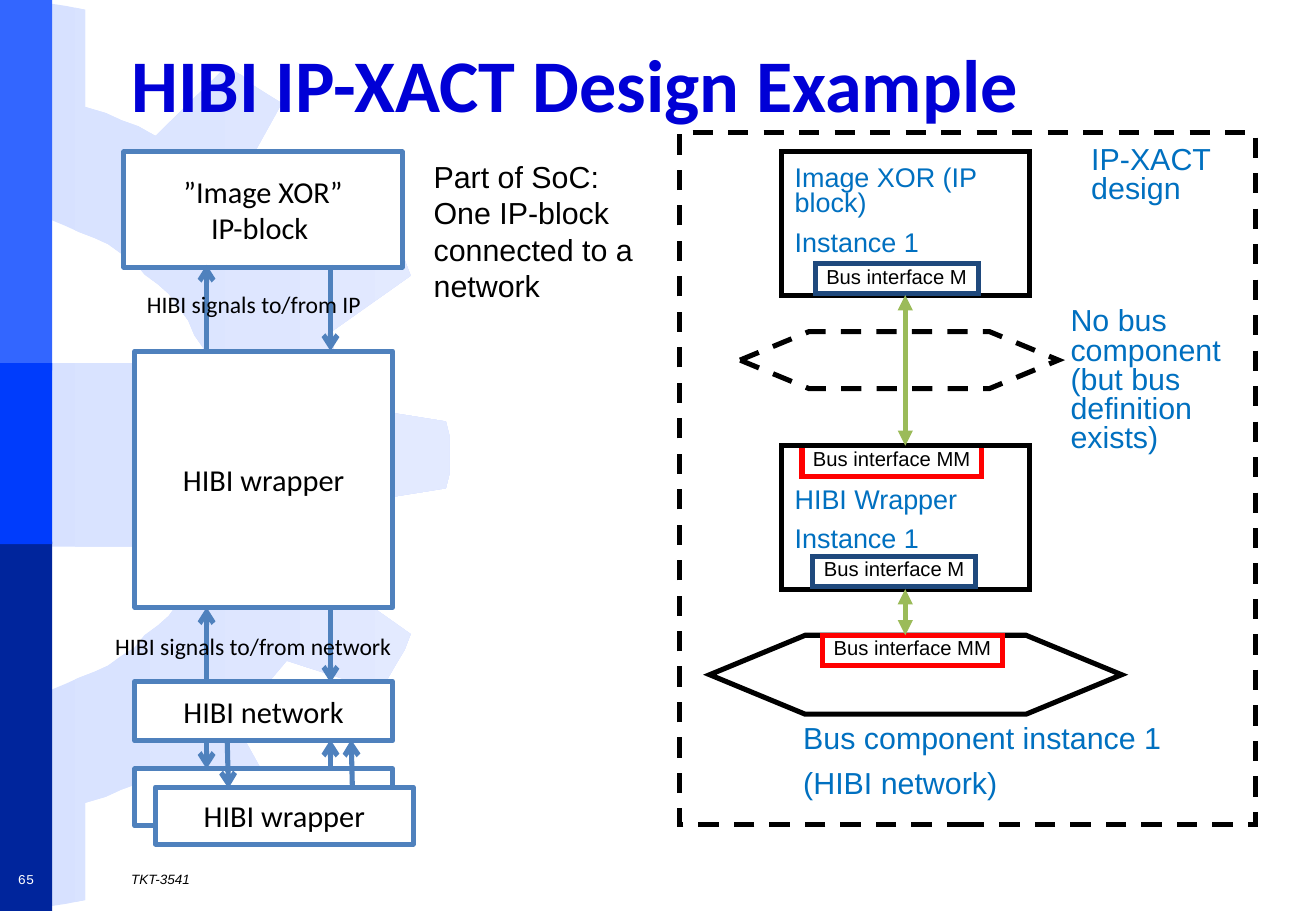
"""Build the HIBI IP-XACT design example slide."""
from dataclasses import dataclass
from typing import Optional

from lxml import etree
from pptx import Presentation
from pptx import util as u
from pptx.dml.color import RGBColor
from pptx.enum import dml, shapes, text
from pptx.oxml.ns import qn

PX = 9144
COLORS = {
    "black": "000000", "white": "FFFFFF", "title": "0000D6", "label": "0070C0",
    "steel": "4F81BD", "navy": "1F497D", "red": "FF0000", "green": "9BBB59",
    "band_top": "3366FF", "band_mid": "003CFC", "band_low": "00259C",
    "gear_left": "D7E1FF", "gear_right": "E3EAFF",
}
RECT = shapes.MSO_SHAPE.RECTANGLE
HEXAGON = shapes.MSO_SHAPE.LEFT_RIGHT_ARROW
GEAR_HEIGHT = 749
GEAR_TOP_HALF = [
    (0, 299), (173, 299), (167, 286), (160, 276), (155, 264), (147, 253),
    (139, 242), (130, 234), (119, 226), (111, 216), (100, 209), (89, 201),
    (78, 196), (65, 191), (54, 186), (42, 181), (28, 180), (14, 176), (14, 0),
    (29, 1), (42, 3), (55, 5), (70, 8), (70, 88), (87, 93), (100, 99),
    (114, 104), (128, 112), (186, 55), (199, 62), (208, 70), (219, 77),
    (232, 85), (192, 157), (206, 169), (215, 180), (225, 192), (236, 205),
    (314, 180), (320, 192), (327, 204), (333, 214), (338, 227), (273, 273),
    (275, 291), (281, 305), (283, 320), (286, 334), (367, 347), (370, 359),
]


@dataclass
class Style:
    size: int
    color: str = "black"
    font: str = "Arial"
    centered: bool = False
    middle: bool = False
    tight: bool = False
    wrap: bool = True
    grow: bool = True
    italic: bool = False


@dataclass
class Box:
    left: int
    top: int
    width: int
    height: int
    line: Optional[str] = None
    fill: Optional[str] = None
    words: str = ""
    style: Optional[Style] = None
    shape: shapes.MSO_SHAPE = RECT
    dashed: bool = False


@dataclass
class Label:
    left: int
    top: int
    width: int
    height: int
    words: str
    style: Style


@dataclass
class Arrow:
    x1: int
    y1: int
    x2: int
    y2: int


BLOCK = Style(18, font="Calibri", centered=True, middle=True, grow=False)
PORT = Style(12, tight=True, wrap=False)
INSTANCE = Style(16, "label", tight=True)
NOTE = Style(18, "label", tight=True)
NOTE_LINES = Style(18, "label", tight=True, wrap=False)
SIGNAL = Style(14, font="Calibri", wrap=False)
NUMBER = Style(8, "white", "Courier New", centered=True, middle=True, grow=False)
FOOTER = Style(8, middle=True, grow=False, italic=True)

BACKDROP = [
    Box(0, 0, 43, 305, fill="band_top"),
    Box(0, 446, 43, 304, fill="band_low"),
    Box(0, 299, 43, 149, fill="band_mid"),
    Box(559, 109, 474, 570, "black", "white", dashed=True),
]
IMAGE_XOR = Box(643, 125, 204, 118, "black")
WRAPPER = Box(643, 367, 204, 118, "black")
BOXES = [
    Box(584, 523, 339, 65, "black", shape=HEXAGON),
    Box(660, 367, 148, 25, "red", words="Bus interface MM", style=PORT),
    IMAGE_XOR,
    Box(671, 217, 134, 25, "navy", words="Bus interface M", style=PORT),
    Box(677, 523, 148, 25, "red", words="Bus interface MM", style=PORT),
    WRAPPER,
    Box(609, 273, 262, 47, "black", shape=HEXAGON, dashed=True),
    Box(669, 458, 134, 25, "navy", words="Bus interface M", style=PORT),
    Box(111, 289, 212, 211, "steel", "white", "HIBI wrapper", BLOCK),
    Box(102, 125, 229, 95, "steel", "white", "”Image XOR”\nIP-block ", BLOCK),
    Box(111, 561, 212, 49, "steel", "white", "HIBI network", BLOCK),
    Box(111, 633, 212, 47, "steel", "white"),
    Box(128, 648, 212, 47, "steel", "white", "HIBI wrapper", BLOCK),
]
SIGNALS = [
    Arrow(272, 500, 272, 562), Arrow(170, 562, 170, 500),
    Arrow(272, 218, 272, 289), Arrow(170, 289, 170, 218),
    Arrow(272, 633, 272, 609), Arrow(170, 609, 170, 633),
    Arrow(187, 609, 188, 649), Arrow(290, 649, 289, 609),
]
LABELS = [
    Label(652, 594, 315, 72, "Bus component instance 1\n(HIBI network)", NOTE_LINES),
    Label(645, 133, 197, 87, "Image XOR (IP block)\nInstance 1", INSTANCE),
    Label(645, 398, 197, 65, "HIBI Wrapper\nInstance 1", INSTANCE),
    Label(872, 250, 186, 130, "No bus component (but bus definition exists)", NOTE),
    Label(889, 117, 135, 59, "IP-XACT design", NOTE),
    Label(85, 515, 249, 34, "HIBI signals to/from network", SIGNAL),
    Label(111, 234, 198, 34, "HIBI signals to/from IP", SIGNAL),
    Label(347, 125, 195, 131,
          "Part of SoC:\nOne IP-block connected to a network", Style(18)),
    Label(0, 711, 43, 26, "65", NUMBER),
    Label(98, 711, 939, 26, "TKT-3541", FOOTER),
]


def rgb(name: str) -> RGBColor:
    return RGBColor.from_string(COLORS[name])


def write(sp, words: str, style: Style) -> None:
    tf = sp.text_frame
    tf.text = words
    tf.word_wrap = style.wrap
    fit = text.MSO_AUTO_SIZE
    tf.auto_size = fit.SHAPE_TO_FIT_TEXT if style.grow else fit.NONE
    tf.vertical_anchor = text.MSO_ANCHOR.MIDDLE if style.middle else text.MSO_ANCHOR.TOP
    tf.margin_left = tf.margin_right = (9 if style.tight else 10) * PX
    tf.margin_top = tf.margin_bottom = (4 if style.tight else 5) * PX
    for i, p in enumerate(tf.paragraphs):
        p.alignment = text.PP_ALIGN.CENTER if style.centered else text.PP_ALIGN.LEFT
        if style.tight:
            p.line_spacing = 0.8
            if i:
                p.space_before = u.Pt(style.size / 2)
        for r in p.runs:
            r.font.size, r.font.name = u.Pt(style.size), style.font
            r.font.italic = style.italic
            r.font.color.rgb = rgb(style.color)


def add_box(s, box: Box):
    sp = s.shapes.add_shape(box.shape, box.left * PX, box.top * PX,
                            box.width * PX, box.height * PX)
    sp.shadow.inherit = False
    if box.shape == HEXAGON:
        sp.adjustments[0], sp.adjustments[1] = 1, 1.21
    if box.fill:
        sp.fill.solid()
        sp.fill.fore_color.rgb = rgb(box.fill)
    else:
        sp.fill.background()
    if box.line:
        sp.line.color.rgb = rgb(box.line)
        sp.line.width = u.Pt(3)
        if box.dashed:
            sp.line.dash_style = dml.MSO_LINE.DASH
        if box.line != "steel":
            etree.SubElement(sp.element.spPr.find(qn("a:ln")), qn("a:miter"), lim="800000")
    else:
        sp.line.fill.background()
    if box.style:
        write(sp, box.words, box.style)
    return sp


def add_label(s, label: Label) -> None:
    sp = s.shapes.add_textbox(label.left * PX, label.top * PX,
                              label.width * PX, label.height * PX)
    write(sp, label.words, label.style)


def add_arrow(s, arrow: Arrow, color: str, head: Optional[str], tail: str):
    cx = s.shapes.add_connector(shapes.MSO_CONNECTOR.STRAIGHT, arrow.x1 * PX,
                                arrow.y1 * PX, arrow.x2 * PX, arrow.y2 * PX)
    cx.line.color.rgb = rgb(color)
    cx.line.width = u.Pt(3)
    spPr = cx.element.spPr
    for tag, kind in (("a:headEnd", head), ("a:tailEnd", tail)):
        if kind:
            etree.SubElement(spPr.find(qn("a:ln")), qn(tag), type=kind)
    etree.SubElement(spPr, qn("a:effectLst"))
    return cx


def add_gear(s) -> None:
    lower = [(x, GEAR_HEIGHT - y) for x, y in reversed(GEAR_TOP_HALF)]
    points = GEAR_TOP_HALF + [(370, 373)] + lower
    pen = s.shapes.build_freeform(*points[0], scale=PX)
    pen.add_line_segments(points[1:], close=True)
    sp = pen.convert_to_shape()
    sp.shadow.inherit = False
    sp.line.fill.background()
    sp.fill.gradient()
    sp.fill.gradient_angle = 0
    for stop, name in zip(sp.fill.gradient_stops, ("gear_left", "gear_right")):
        stop.color.rgb = rgb(name)


def add_title(s) -> None:
    sp = s.shapes.title
    sp.element.getparent().append(sp.element)
    sp.left, sp.top, sp.width, sp.height = (v * PX for v in (98, 21, 939, 94))
    write(sp, "HIBI IP-XACT Design Example",
          Style(44, "title", "Calibri", middle=True, grow=False))
    sp.text_frame.paragraphs[0].runs[0].font.bold = True


def main() -> None:
    prs = Presentation()
    prs.slide_width, prs.slide_height = 1083 * PX, 750 * PX
    s = prs.slides.add_slide(prs.slide_layouts[5])
    add_gear(s)
    for box in BACKDROP:
        add_box(s, box)
    add_title(s)
    drawn = [add_box(s, box) for box in BOXES]
    image_xor, wrapper = (drawn[BOXES.index(b)] for b in (IMAGE_XOR, WRAPPER))
    for arrow in SIGNALS:
        add_arrow(s, arrow, "steel", None, "arrow")
    bus = add_arrow(s, Arrow(745, 243, 745, 367), "green", "triangle", "triangle")
    bus.begin_connect(image_xor, 2)
    bus.end_connect(wrapper, 0)
    network = add_arrow(s, Arrow(745, 485, 745, 523), "green", "triangle", "triangle")
    network.begin_connect(wrapper, 2)
    for label in LABELS:
        add_label(s, label)
    prs.save("out.pptx")


if __name__ == "__main__":
    main()
